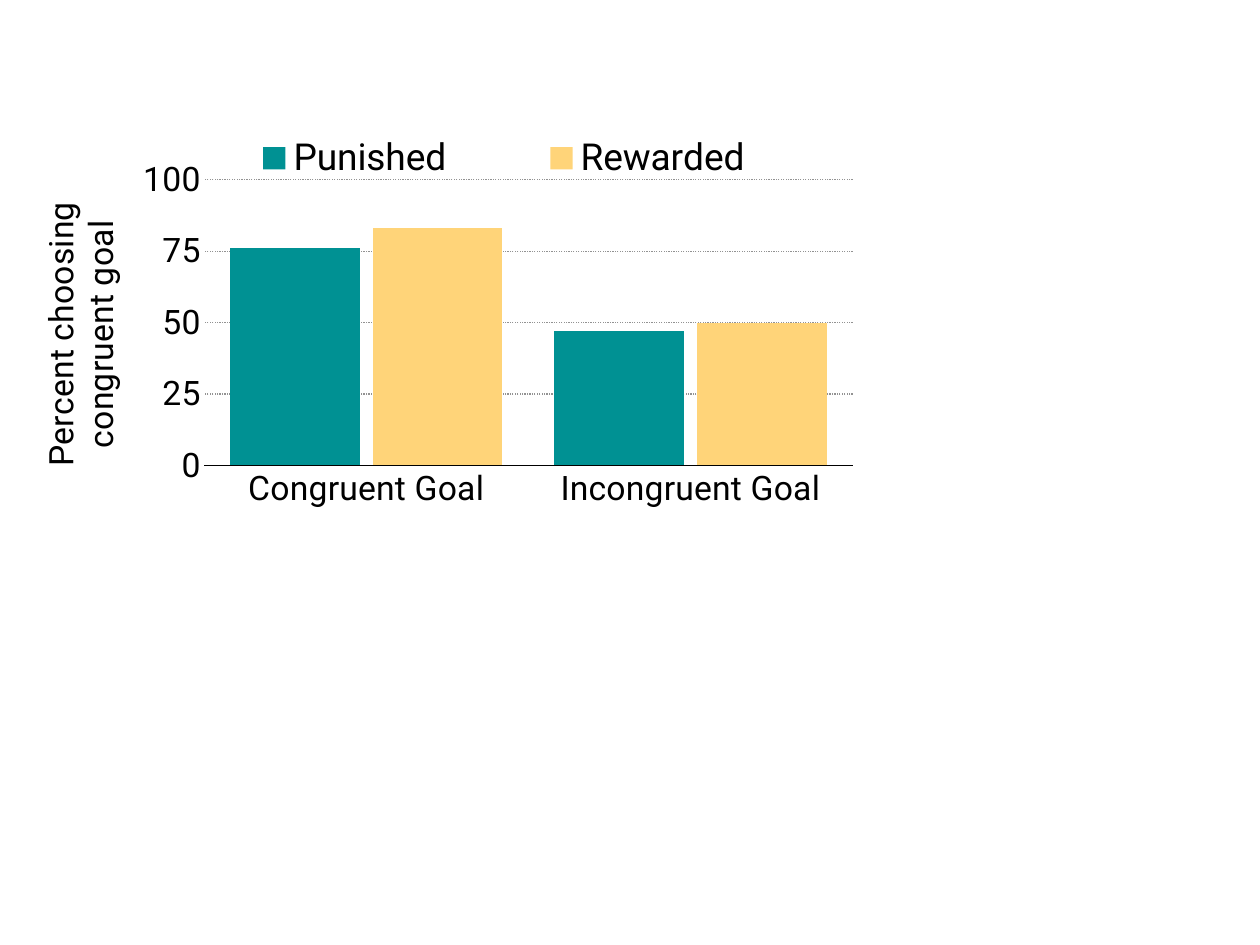
"""Build a slide with a clustered column chart of goal choices."""
from lxml import etree
from pptx import Presentation
from pptx.chart.data import CategoryChartData
from pptx.dml.color import RGBColor
from pptx.enum.chart import XL_CHART_TYPE, XL_LEGEND_POSITION, XL_TICK_MARK
from pptx.enum.dml import MSO_LINE
from pptx.oxml import parse_xml
from pptx.oxml.ns import nsdecls, qn
from pptx.util import Inches, Pt

BLACK = RGBColor(0x00, 0x00, 0x00)
GRAY = RGBColor(0x92, 0x92, 0x92)
TEAL = RGBColor(0x00, 0x91, 0x93)
YELLOW = RGBColor(0xFF, 0xD4, 0x79)

CATEGORIES = ["Congruent Goal", "Incongruent Goal"]
SERIES = [("Punished", (76, 47), TEAL), ("Rewarded", (83, 50), YELLOW)]
AXIS_TITLE = "Percent choosing congruent goal"
FONT = "Roboto"
AXIS_SIZE, LEGEND_SIZE = 27.4, 30.2
SLIDE_W, SLIDE_H = 14.22, 10.67
CHART_BOX = (0.36, 1.5, 9.27, 4.42)
PLOT_BOX = (0.21, 0.12, 0.79, 0.73)
LEGEND_BOX = (0.17, 0, 0.81, 0.13)


def style_font(font, size):
    font.name = FONT
    font.size = Pt(size)
    font.bold = False
    font.color.rgb = BLACK


def manual_layout(box, inner=False):
    layout = parse_xml(f"<c:layout {nsdecls('c')}><c:manualLayout/></c:layout>")
    settings = [("layoutTarget", "inner")] if inner else []
    settings += [("xMode", "edge"), ("yMode", "edge")]
    settings += zip("xywh", box)
    for tag, value in settings:
        etree.SubElement(layout[0], qn(f"c:{tag}")).set("val", str(value))
    return layout


def style_axes(chart):
    for axis in (chart.category_axis, chart.value_axis):
        axis.major_tick_mark = axis.minor_tick_mark = XL_TICK_MARK.NONE
        style_font(axis.tick_labels.font, AXIS_SIZE)
    line = chart.category_axis.format.line
    line.color.rgb = BLACK
    line.width = Pt(1)

    axis = chart.value_axis
    axis.minimum_scale, axis.maximum_scale, axis.major_unit = 0, 100, 25
    axis.format.line.fill.background()
    grid = axis.major_gridlines.format.line
    grid.color.rgb = GRAY
    grid.width = Pt(1)
    grid.dash_style = MSO_LINE.ROUND_DOT
    r = axis.axis_title.text_frame.paragraphs[0].add_run()
    r.text = AXIS_TITLE
    style_font(r.font, AXIS_SIZE)


def style_columns(chart):
    plot = chart.plots[0]
    plot.gap_width, plot.overlap = 40, -10
    plot.vary_by_categories = False
    for series, (name, values, color) in zip(plot.series, SERIES):
        series.format.fill.solid()
        series.format.fill.fore_color.rgb = color
        series.format.line.fill.background()


def place_parts(chart):
    chart.has_legend = True
    legend = chart.legend
    legend.position = XL_LEGEND_POSITION.TOP
    legend.include_in_layout = True
    style_font(legend.font, LEGEND_SIZE)
    parts = [("legend", LEGEND_BOX, False), ("plotArea", PLOT_BOX, True)]
    for tag, box, inner in parts:
        part = next(chart.element.iter(qn(f"c:{tag}")))
        for old in part.findall(qn("c:layout")):
            part.remove(old)
        index = 0 if inner else 1
        part.insert(index, manual_layout(box, inner))


def main():
    prs = Presentation()
    prs.slide_width, prs.slide_height = Inches(SLIDE_W), Inches(SLIDE_H)
    s = prs.slides.add_slide(prs.slide_layouts[6])
    data = CategoryChartData()
    data.categories = CATEGORIES
    for name, values, color in SERIES:
        data.add_series(name, values)
    box = [Inches(v) for v in CHART_BOX]
    chart = s.shapes.add_chart(XL_CHART_TYPE.COLUMN_CLUSTERED, *box, data).chart
    chart.has_title = False
    style_font(chart.font, 10)
    style_axes(chart)
    style_columns(chart)
    place_parts(chart)
    prs.save("out.pptx")


if __name__ == "__main__":
    main()
